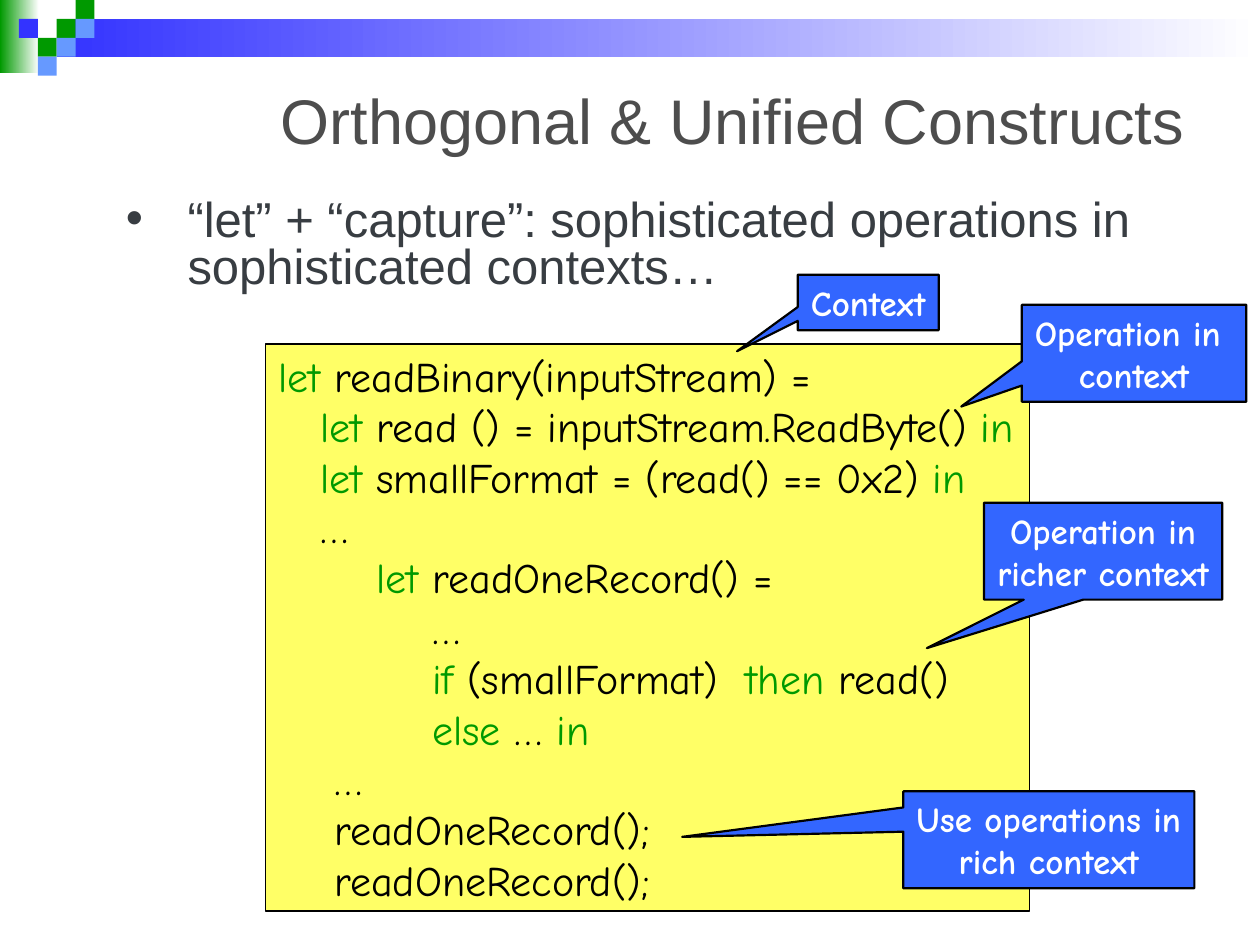
"""Build the slide on orthogonal and unified constructs, with annotated code."""
from dataclasses import dataclass

from lxml import etree
from pptx import Presentation
from pptx.dml.color import RGBColor
from pptx.enum import shapes, text
from pptx.oxml.ns import qn
from pptx.util import Pt


@dataclass(frozen=True)
class Theme:
    sans: str = "Arial"
    hand: str = "Comic Neue"
    head: int = 36
    body: int = 28
    code: int = 24
    note: int = 20
    space: int = 8
    cell: float = 10.8
    white: str = "FFFFFF"
    black: str = "000000"
    green: str = "009900"
    blue: str = "3333FF"
    pale: str = "6699FF"
    gray: str = "4D4D4D"
    slate: str = "383D42"
    paper: str = "FFFF66"
    call: str = "3366FF"


T = Theme()
LEFT, MID, RIGHT = text.PP_ALIGN.LEFT, text.PP_ALIGN.CENTER, text.PP_ALIGN.RIGHT
TOP, CORE = text.MSO_ANCHOR.TOP, text.MSO_ANCHOR.MIDDLE
RECT = shapes.MSO_SHAPE.RECTANGLE
WEDGE = shapes.MSO_SHAPE.RECTANGULAR_CALLOUT

TILES = [
    (2, 1, T.green), (3, 0, T.green), (3, 1, T.pale), (1, 2, T.green),
    (0, 1, T.blue), (2, 2, T.pale), (1, 3, T.pale),
]
CODE = [
    (0, "*let* readBinary(inputStream) ="),
    (3, "*let* read () = inputStream.ReadByte() *in*"),
    (3, "*let* smallFormat = (read() == 0x2) *in*"),
    (3, "…"),
    (7, "*let* readOneRecord() ="),
    (11, "…"),
    (11, "*if* (smallFormat)  *then* read()"),
    (11, "*else* … *in*"),
    (4, "…"),
    (4, "readOneRecord();"),
    (4, "readOneRecord();"),
]
NOTES = [
    ((455.8, 157, 80.6, 31.7), (-0.93, 0.88), ["Context"]),
    ((583.9, 174.2, 128.2, 55.4), (-0.77, 0.55), ["Operation in ", "context"]),
    ((562.3, 287.3, 136.1, 55.4), (-0.74, 1), ["Operation in", "richer context"]),
    ((516.2, 452.2, 166.3, 55.4), (-1.26, -0.03), ["Use operations in", "rich context"]),
]


def rgb(hue):
    """Turn a hex string into a colour."""
    return RGBColor.from_string(hue)


def write(frame, lines, font=T.hand, size=T.code, hue=T.black, key=T.green,
          bold=False, align=LEFT, anchor=TOP, wrap=False):
    """Fill a frame with (indent, line) pairs; words between stars take the key colour."""
    frame.word_wrap = wrap
    frame.auto_size = text.MSO_AUTO_SIZE.NONE
    frame.vertical_anchor = anchor
    for i, (depth, line) in enumerate(lines):
        para = frame.add_paragraph() if i else frame.paragraphs[0]
        para.alignment = align
        if depth:
            para._p.get_or_add_pPr().set("marL", str(Pt(depth * T.space)))
        for j, part in enumerate(line.split("*")):
            if part:
                run = para.add_run()
                run.text = part
                run.font.name, run.font.size, run.font.bold = font, Pt(size), bold
                run.font.color.rgb = rgb(key if j % 2 else hue)


def block(slide, box, fill, edge=None, kind=RECT):
    """Add a flat shape with an optional black edge."""
    shape = slide.shapes.add_shape(kind, *map(Pt, box))
    shape.shadow.inherit = False
    shape.fill.solid()
    shape.fill.fore_color.rgb = rgb(fill)
    if edge:
        shape.line.color.rgb = rgb(T.black)
        shape.line.width = Pt(edge)
    else:
        shape.line.fill.background()
    return shape


def fade(slide, box, hue):
    """Add a bar that fades to white toward the right."""
    fill = block(slide, box, hue).fill
    fill.gradient()
    fill.gradient_angle = 180
    for stop, tone in zip(fill.gradient_stops, (T.white, hue)):
        stop.color.rgb = rgb(tone)


def banner(slide):
    """Draw the bars and the tiles at the top."""
    fade(slide, (0, 0, 22.3, 41.8), T.green)
    fade(slide, (32.4, 10.8, 687.6, 21.6), T.blue)
    for col, row, hue in TILES:
        block(slide, ((col + 1) * T.cell, row * T.cell, T.cell, T.cell), hue)


def title(slide, line):
    """Place and format the title."""
    head = slide.shapes.title
    head.left, head.top, head.width, head.height = map(Pt, (36, 36, 648, 64))
    write(head.text_frame, [(0, line)], font=T.sans, size=T.head, hue=T.gray,
          align=RIGHT, anchor=CORE, wrap=True)


def point(slide, line):
    """Add the bulleted statement."""
    box = slide.shapes.add_textbox(*map(Pt, (64.8, 110.9, 595.4, 345.6)))
    write(box.text_frame, [(0, line)], font=T.sans, size=T.body, hue=T.slate, wrap=True)
    para = box.text_frame.paragraphs[0]
    para.line_spacing, para.space_before = 0.8, Pt(10.5)
    props = para._p.get_or_add_pPr()
    props.set("marL", str(Pt(35.3)))
    props.set("indent", str(-Pt(35.3)))
    etree.SubElement(props, qn("a:buFont"), typeface=T.sans)
    etree.SubElement(props, qn("a:buChar"), char="•")


def note(slide, box, tip, lines):
    """Add a callout whose tip points into the code."""
    shape = block(slide, box, T.call, edge=1.25, kind=WEDGE)
    shape.adjustments[0], shape.adjustments[1] = tip
    write(shape.text_frame, [(0, line) for line in lines], size=T.note,
          hue=T.white, bold=True, align=MID, anchor=CORE)


def main():
    """Build and save the slide."""
    deck = Presentation()
    deck.slide_width, deck.slide_height = Pt(720), Pt(540)
    slide = deck.slides.add_slide(deck.slide_layouts[5])
    banner(slide)
    title(slide, "Orthogonal & Unified Constructs")
    point(slide, "“let” + “capture”: sophisticated operations in sophisticated contexts…")
    panel = block(slide, (151.9, 196.6, 436.3, 324), T.paper, edge=0.75)
    write(panel.text_frame, CODE)
    for box, tip, lines in NOTES:
        note(slide, box, tip, lines)
    deck.save("out.pptx")


if __name__ == "__main__":
    main()
